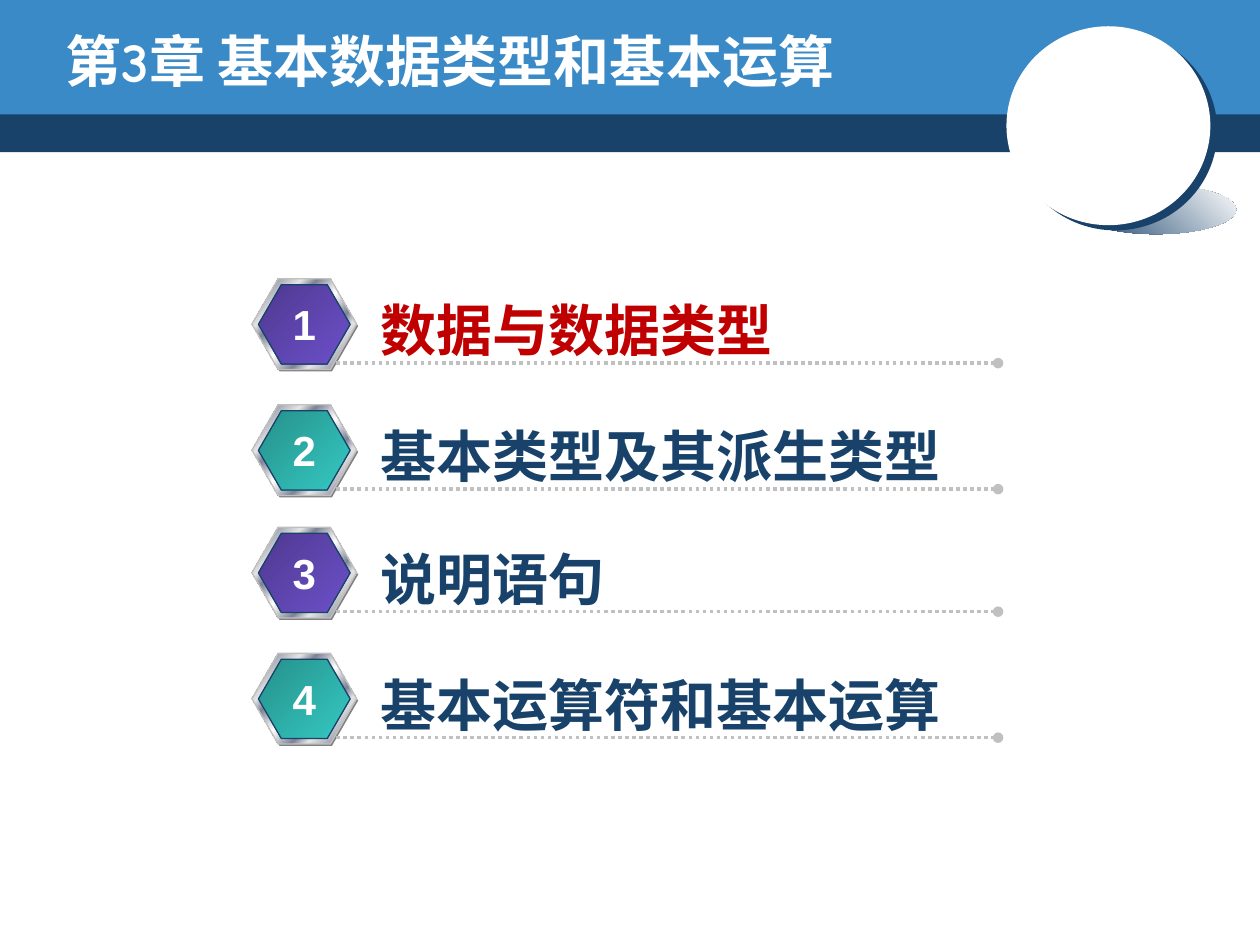
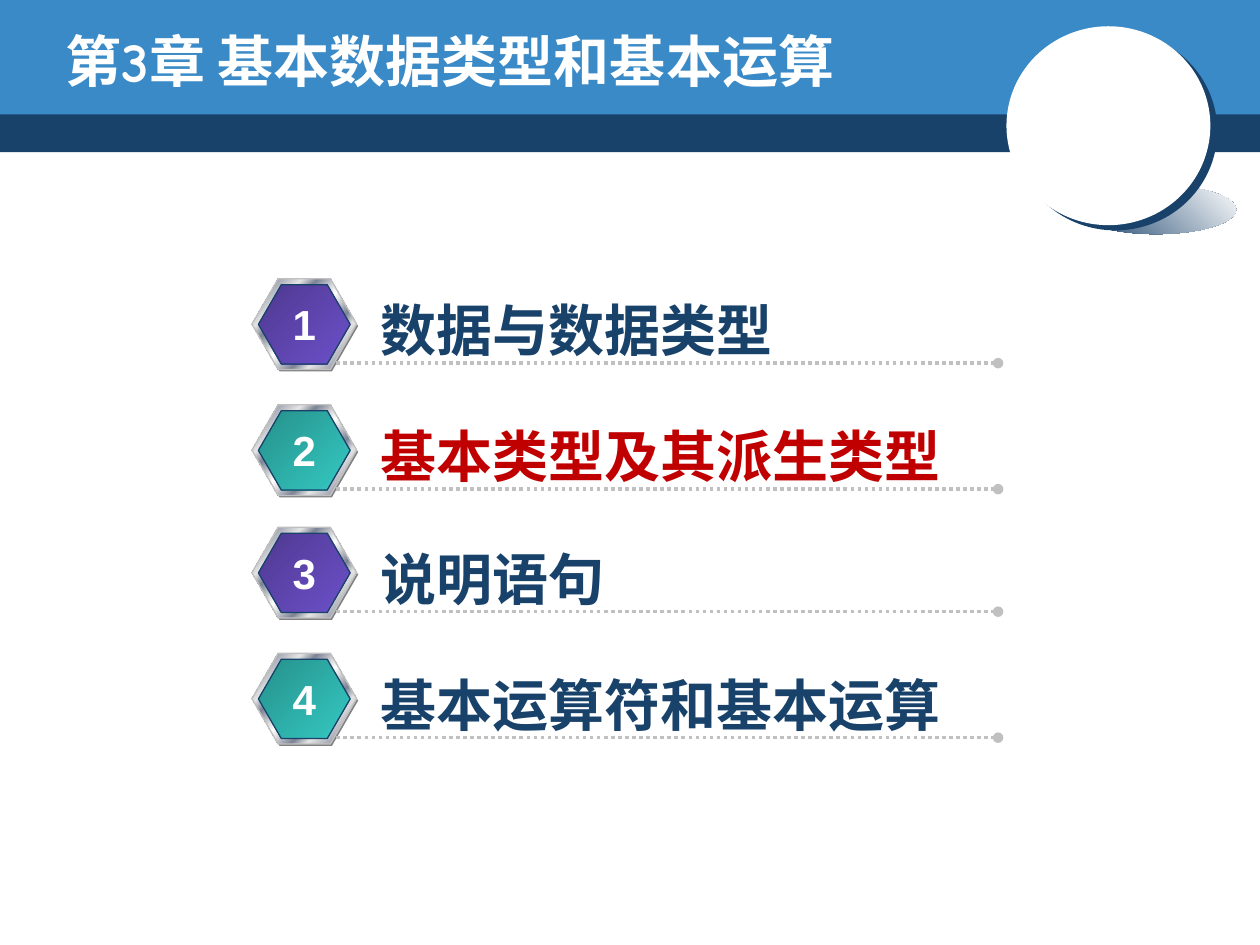
from lxml import etree
from pptx import Presentation
from pptx.dml.color import RGBColor
from pptx.enum.dml import MSO_LINE
from pptx.enum.shapes import MSO_CONNECTOR, MSO_SHAPE
from pptx.enum.text import MSO_ANCHOR, MSO_AUTO_SIZE, PP_ALIGN
from pptx.oxml.ns import qn
from pptx.util import Cm, Pt

RECTANGLE, ELLIPSE, HEXAGON = MSO_SHAPE.RECTANGLE, MSO_SHAPE.OVAL, MSO_SHAPE.HEXAGON
STRAIGHT = MSO_CONNECTOR.STRAIGHT
DOTTED = MSO_LINE.ROUND_DOT
MIDDLE, TOP = MSO_ANCHOR.MIDDLE, MSO_ANCHOR.TOP
LEFT, CENTER = PP_ALIGN.LEFT, PP_ALIGN.CENTER
FIT_SHAPE = MSO_AUTO_SIZE.SHAPE_TO_FIT_TEXT

NAVY = RGBColor(0x19, 0x42, 0x6B)
BLUE = RGBColor(0x39, 0x8A, 0xC7)
WHITE = RGBColor(0xFF, 0xFF, 0xFF)
RED = RGBColor(0xC0, 0x00, 0x00)
SILVER = RGBColor(0xC0, 0xC0, 0xC0)
GRAY = RGBColor(0x80, 0x80, 0x80)
STEEL = RGBColor(0x7D, 0x84, 0x96)
PALE = RGBColor(0xE6, 0xE6, 0xE6)
PURPLE_DARK = RGBColor(0x4E, 0x39, 0x90)
PURPLE = RGBColor(0x6D, 0x50, 0xCA)
TEAL_DARK = RGBColor(0x26, 0x90, 0x8B)
TEAL = RGBColor(0x35, 0xC9, 0xC2)

METAL_STOPS = [(0, PALE), (7, STEEL), (26, PALE), (34, STEEL), (46, PALE), (50, WHITE),
               (54, PALE), (66, STEEL), (74, PALE), (93, STEEL), (100, PALE)]
BADGE_STOPS = [[(0, PURPLE_DARK), (100, PURPLE)], [(0, TEAL_DARK), (100, TEAL)]]

TITLE = "第3章 基本数据类型和基本运算"
SECTIONS = [
    ("数据与数据类型", 5.62, 8.53),
    ("基本类型及其派生类型", 8.16, 11.91),
    ("说明语句", 10.63, 5.08),
    ("基本运算符和基本运算", 13.17, 11.96),
]


def add_element(parent, tag, **attributes):
    return etree.SubElement(parent, qn(tag), attributes)


def add_color(parent, color):
    add_element(parent, "a:srgbClr", val=str(color))


def add_filled(shapes, kind, left, top, width, height, color=None, outline=None):
    shape = shapes.add_shape(kind, Cm(left), Cm(top), Cm(width), Cm(height))
    shape.shadow.inherit = False
    if color is not None:
        shape.fill.solid()
        shape.fill.fore_color.rgb = color
    if outline is None:
        shape.line.fill.background()
    else:
        shape.line.color.rgb = outline
        shape.line.width = Pt(0.75)
    return shape


def set_gradient(shape, stops, clockwise_angle):
    shape.fill.gradient()
    shape.fill.gradient_angle = 360 - clockwise_angle
    stop_list = shape.element.spPr.find(qn("a:gradFill")).find(qn("a:gsLst"))
    for stop in list(stop_list):
        stop_list.remove(stop)
    for position, color in stops:
        add_color(add_element(stop_list, "a:gs", pos=str(position * 1000)), color)


def set_hard_shadow(shape, color, distance, clockwise_angle):
    effects = shape.element.spPr.find(qn("a:effectLst"))
    shadow = add_element(effects, "a:outerShdw", blurRad="0", dist=str(Pt(distance)),
                         dir=str(clockwise_angle * 60000), algn="ctr", rotWithShape="0")
    add_color(shadow, color)


def add_text(slide, text, left, top, width, height, size, color,
             font="Arial", align=LEFT, anchor=TOP, wrap=False):
    box = slide.shapes.add_textbox(Cm(left), Cm(top), Cm(width), Cm(height))
    frame = box.text_frame
    frame.word_wrap = wrap
    frame.vertical_anchor = anchor
    if not wrap:
        frame.auto_size = FIT_SHAPE
    paragraph = frame.paragraphs[0]
    paragraph.text = text
    paragraph.alignment = align
    paragraph.font.name = font
    paragraph.font.size = Pt(size)
    paragraph.font.bold = True
    paragraph.font.color.rgb = color


def add_header(slide):
    add_filled(slide.shapes, RECTANGLE, 0, 2.21, 25.4, 0.86, NAVY)
    add_filled(slide.shapes, RECTANGLE, 0, 0, 25.4, 2.31, BLUE)
    emblem = slide.shapes.add_group_shape().shapes
    cast_shade = add_filled(emblem, ELLIPSE, 21.69, 3.73, 3.23, 0.99)
    set_gradient(cast_shade, [(0, NAVY), (100, WHITE)], 315)
    disc = add_filled(emblem, ELLIPSE, 20.29, 0.53, 4.11, 4.01, WHITE)
    set_hard_shadow(disc, NAVY, 5, 37)
    add_filled(emblem, ELLIPSE, 21.69, 1.73, 1.45, 1.5, WHITE)
    add_text(slide, TITLE, 1.07, 0.43, 20.52, 1.57, 32, WHITE,
             font="Comic Neue", anchor=MIDDLE, wrap=True)


def add_badge(slide, top, stops):
    badge = slide.shapes.add_group_shape().shapes
    base = add_filled(badge, HEXAGON, 5.11, top + 0.04, 2.11, 1.83, GRAY)
    rim = add_filled(badge, HEXAGON, 5.08, top, 2.11, 1.83, outline=SILVER)
    face = add_filled(badge, HEXAGON, 5.21, top + 0.12, 1.85, 1.6, outline=NAVY)
    set_gradient(rim, METAL_STOPS, 45)
    set_gradient(face, stops, 45)
    for hexagon in (base, rim, face):
        hexagon.adjustments[0] = 0.289


def add_dotted_rule(slide, left, right, top):
    rule = slide.shapes.add_connector(STRAIGHT, Cm(left), Cm(top), Cm(right), Cm(top))
    rule.line.color.rgb = SILVER
    rule.line.width = Pt(2)
    rule.line.dash_style = DOTTED
    properties = rule.element.spPr
    add_element(properties.find(qn("a:ln")), "a:tailEnd", type="oval")
    add_element(properties, "a:effectLst")


def add_section(slide, number, heading, top, width, color):
    add_badge(slide, top, BADGE_STOPS[(number - 1) % 2])
    add_dotted_rule(slide, 6.78, 20.12, top + 1.7)
    add_text(slide, heading, 7.42, top + 0.22, width, 1.63, 32, color)
    add_text(slide, str(number), 5.64, top + 0.28, 0.99, 1.27, 24, WHITE, align=CENTER)


def add_agenda_slide(presentation, current):
    slide = presentation.slides.add_slide(presentation.slide_layouts[6])
    add_header(slide)
    for number, (heading, top, width) in enumerate(SECTIONS, 1):
        color = RED if number == current else NAVY
        add_section(slide, number, heading, top, width, color)


def main():
    presentation = Presentation()
    presentation.slide_width = Cm(25.4)
    presentation.slide_height = Cm(19.05)
    for current in (1, 2):
        add_agenda_slide(presentation, current)
    presentation.save("out.pptx")


if __name__ == "__main__":
    main()
